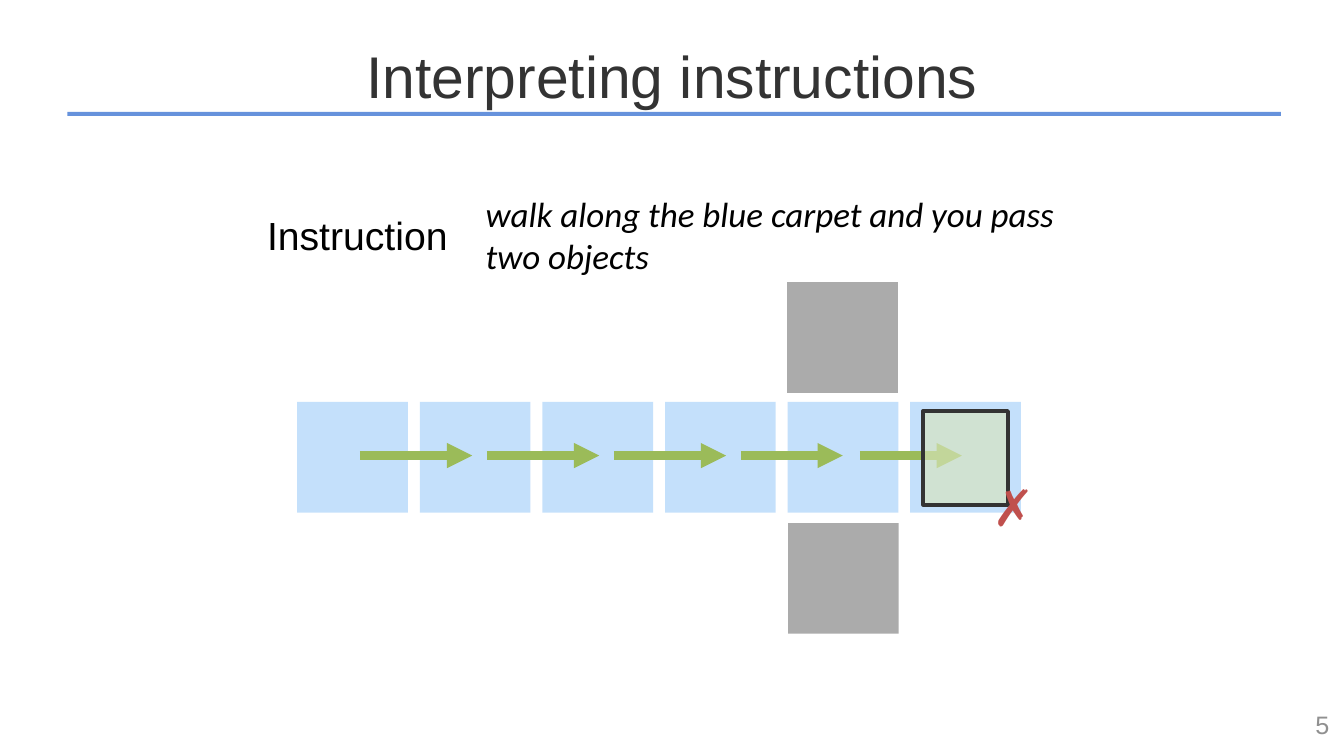
from dataclasses import dataclass
from lxml.etree import SubElement
from pptx import Presentation
from pptx.dml.color import RGBColor
from pptx.enum.shapes import MSO_CONNECTOR, MSO_SHAPE
from pptx.enum.text import MSO_ANCHOR, PP_ALIGN
from pptx.oxml.ns import qn
from pptx.util import Cm, Pt

COLORS = {"rule": "6692DC", "title": "333333", "text": "000000",
          "carpet": "A6D1FA", "object": "808080", "arrow": "9BBB59",
          "goal": "D7E4BD", "cross": "C0504D", "number": "909090"}
TILE, PITCH = 2.79, 3.09
ROW_LEFT, ROW_TOP = 7.49, 10.13
ARROW_Y = 11.48


@dataclass
class Box:
    left: float
    top: float
    width: float
    height: float
    fill: str
    alpha: int = 66
    line: str = ""


@dataclass
class Label:
    left: float
    top: float
    width: float
    height: float
    lines: list[str]
    color: str
    font: dict
    align: PP_ALIGN = PP_ALIGN.CENTER
    wrap: bool = True
    inset: float = 0.15


@dataclass
class Arrow:
    start: float
    length: float


def rgb(name: str) -> RGBColor:
    return RGBColor.from_string(COLORS[name])


def draw_box(s, box: Box) -> None:
    sp = s.shapes.add_shape(MSO_SHAPE.RECTANGLE, Cm(box.left), Cm(box.top),
                            Cm(box.width), Cm(box.height))
    sp.shadow.inherit = False
    sp.fill.solid()
    sp.fill.fore_color.rgb = rgb(box.fill)
    if box.alpha < 100:
        color = sp.fill._xPr.find(qn("a:solidFill"))[0]
        SubElement(color, qn("a:alpha"), val=str(box.alpha * 1000))
    if box.line:
        sp.line.color.rgb = rgb(box.line)
        sp.line.width = Pt(3)
    else:
        sp.line.fill.background()


def draw_label(s, label: Label) -> None:
    sp = s.shapes.add_textbox(Cm(label.left), Cm(label.top),
                              Cm(label.width), Cm(label.height))
    tf = sp.text_frame
    tf.word_wrap = label.wrap
    tf.vertical_anchor = MSO_ANCHOR.MIDDLE
    for side in ("left", "top", "right", "bottom"):
        setattr(tf, f"margin_{side}", Cm(label.inset))
    for i, line in enumerate(label.lines):
        p = tf.add_paragraph() if i else tf.paragraphs[0]
        p.alignment = label.align
        r = p.add_run()
        r.text = line
        r.font.color.rgb = rgb(label.color)
        for name, value in label.font.items():
            setattr(r.font, name, value)


def draw_arrow(s, arrow: Arrow) -> None:
    c = s.shapes.add_connector(MSO_CONNECTOR.STRAIGHT, Cm(arrow.start), Cm(ARROW_Y),
                               Cm(arrow.start + arrow.length), Cm(ARROW_Y))
    c.line.color.rgb = rgb("arrow")
    c.line.width = Pt(6)
    SubElement(c.line._get_or_add_ln(), qn("a:tailEnd"), type="triangle")
    SubElement(c._element.spPr, qn("a:effectLst"))


RULE = Box(1.7, 2.82, 30.58, 0.1, "rule", alpha=100)
CARPET = [Box(ROW_LEFT + i * PITCH, ROW_TOP, TILE, TILE, "carpet") for i in range(6)]
OBJECTS = [Box(19.84, 7.11, TILE, TILE, "object"),
           Box(19.86, 13.18, TILE, TILE, "object")]
GOAL = Box(23.27, 10.36, 2.13, 2.36, "goal", line="title")
ARROWS = [Arrow(9.07 + i * 3.2, 2.83) for i in range(3)]
ARROWS += [Arrow(18.67, 2.57), Arrow(21.67, 2.57)]

LABELS = [
    Label(0, 0.89, 33.87, 1.98, ["Interpreting instructions"], "title",
          {"name": "Arial", "size": Pt(42)}),
    Label(6.53, 5.18, 4.95, 1.47, ["Instruction"], "text",
          {"name": "Arial", "size": Pt(28)}, wrap=False),
    Label(12.09, 4.7, 14.68, 2.41,
          ["walk along the blue carpet and you pass", "two objects"], "text",
          {"name": "Calibri", "size": Pt(25), "italic": True}, PP_ALIGN.LEFT),
    Label(25.6, 17.75, 7.9, 1.02, ["5"], "number",
          {"name": "Arial", "size": Pt(18)}, PP_ALIGN.RIGHT, inset=0),
]
CROSS = Label(24.64, 11.51, 1.8, 2.49, ["✗"], "cross",
              {"name": "Calibri", "size": Pt(36), "bold": True}, wrap=False)


def main() -> None:
    prs = Presentation()
    prs.slide_width, prs.slide_height = Cm(33.87), Cm(19.05)
    s = prs.slides.add_slide(prs.slide_layouts[6])

    # Title rule, carpet row and the objects beside it
    for box in [RULE, *CARPET, *OBJECTS]:
        draw_box(s, box)
    # Title, instruction and slide number
    for label in LABELS:
        draw_label(s, label)
    # Walked path, then the goal with its cross on top
    for arrow in ARROWS:
        draw_arrow(s, arrow)
    draw_box(s, GOAL)
    draw_label(s, CROSS)

    prs.save("out.pptx")


if __name__ == "__main__":
    main()
